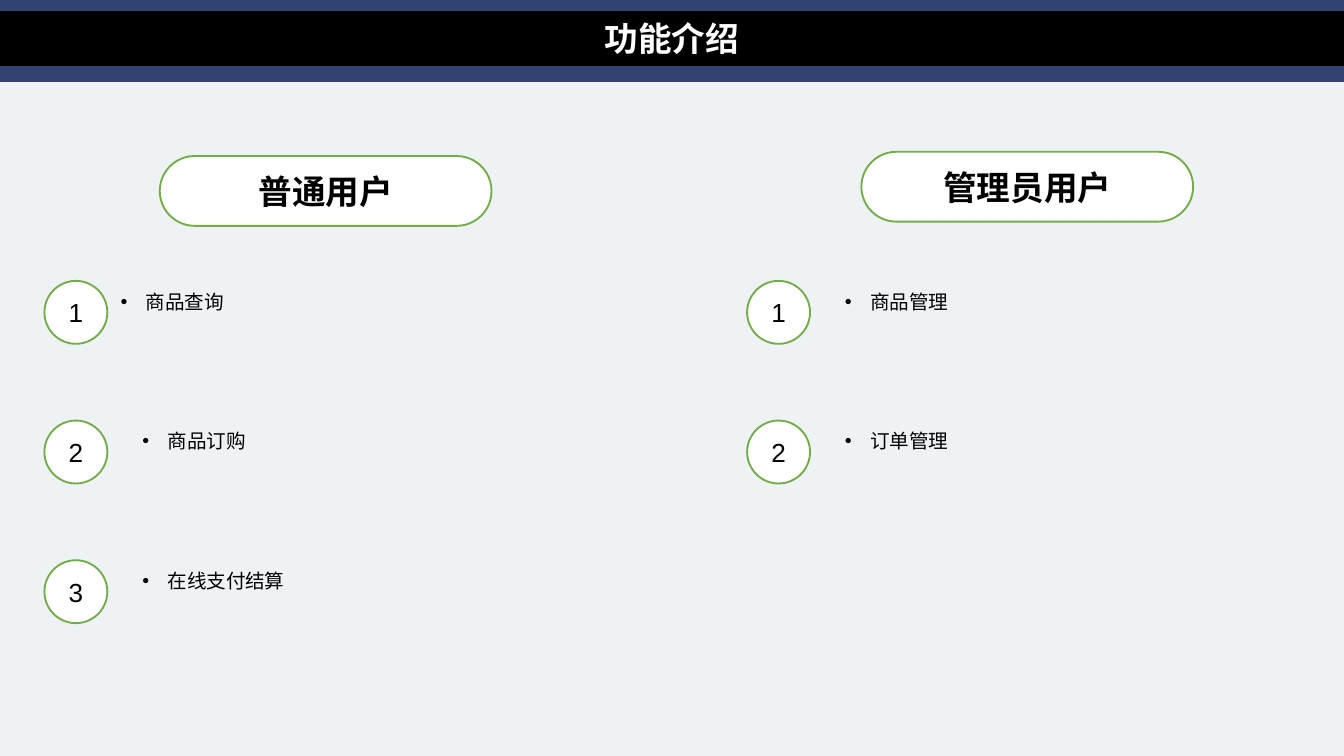
from lxml.etree import SubElement
from pptx import Presentation
from pptx.dml.color import RGBColor
from pptx.enum.shapes import MSO_SHAPE
from pptx.enum.text import MSO_ANCHOR, MSO_AUTO_SIZE, PP_ALIGN
from pptx.oxml.ns import qn
from pptx.util import Cm, Pt

COLORS = {
    "background": "EEF2F5",
    "band": "304371",
    "black": "000000",
    "white": "FFFFFF",
    "green": "70AD47",
}
HEADING_FONT = "Noto Sans CJK SC"
SLIDE_WIDTH, SLIDE_HEIGHT = 25.4, 14.29

FIRST_ROW, ROW_PITCH = 5.31, 2.64
BADGE_SIZE = 1.19
LABEL_GAP = 1.6
LABEL_RISE = 0.18

# heading, heading left and top, badge left, features
USER_ROLES = [
    ("普通用户", 3.02, 2.95, 0.84, ["商品查询", "商品订购", "在线支付结算"]),
    ("管理员用户", 16.28, 2.87, 14.12, ["商品管理", "订单管理"]),
]


def color(name):
    return RGBColor.from_string(COLORS[name])


def add_panel(slide, preset, left, top, width, height, fill, line=None):
    panel = slide.shapes.add_shape(preset, Cm(left), Cm(top), Cm(width), Cm(height))
    panel.shadow.inherit = False
    panel.fill.solid()
    panel.fill.fore_color.rgb = color(fill)
    if line:
        panel.line.color.rgb = color(line)
        panel.line.width = Pt(1)
    else:
        panel.line.fill.background()
    return panel


def add_run(paragraph, text, size, font, ink="black", bold=False):
    run = paragraph.add_run()
    run.text = text
    run.font.size = Pt(size)
    run.font.name = font
    run.font.bold = bold
    run.font.color.rgb = color(ink)
    if font == HEADING_FONT:
        east_asian = SubElement(run.font._element, qn("a:ea"))
        east_asian.set("typeface", font)


def add_centered_text(panel, text, size, font, ink="black", bold=False):
    panel.text_frame.vertical_anchor = MSO_ANCHOR.MIDDLE
    paragraph = panel.text_frame.paragraphs[0]
    paragraph.alignment = PP_ALIGN.CENTER
    add_run(paragraph, text, size, font, ink, bold)


def add_title(slide, text):
    add_panel(slide, MSO_SHAPE.RECTANGLE, 0, 0, SLIDE_WIDTH, 1.55, "band")
    title = add_panel(slide, MSO_SHAPE.RECTANGLE, 0, 0.22, SLIDE_WIDTH, 1.02,
                      "black", "black")
    add_centered_text(title, text, 18, HEADING_FONT, "white", True)
    title.text_frame.vertical_anchor = MSO_ANCHOR.TOP
    title.text_frame.auto_size = MSO_AUTO_SIZE.SHAPE_TO_FIT_TEXT


def add_heading(slide, text, left, top):
    heading = add_panel(slide, MSO_SHAPE.ROUNDED_RECTANGLE, left, top, 6.27, 1.32,
                        "white", "green")
    heading.adjustments[0] = 0.5
    add_centered_text(heading, text, 18, HEADING_FONT, bold=True)


def add_badge(slide, number, left, top):
    badge = add_panel(slide, MSO_SHAPE.OVAL, left, top, BADGE_SIZE, BADGE_SIZE,
                      "white", "green")
    add_centered_text(badge, str(number), 14, "Arial")


def add_feature(slide, text, left, top):
    feature = slide.shapes.add_textbox(Cm(left), Cm(top), Cm(8.84), Cm(0.91))
    frame = feature.text_frame
    frame.word_wrap = True
    frame.auto_size = MSO_AUTO_SIZE.SHAPE_TO_FIT_TEXT
    paragraph = frame.paragraphs[0]
    paragraph.line_spacing = 1.5
    properties = paragraph._p.get_or_add_pPr()
    properties.set("marL", str(Cm(0.48)))
    properties.set("indent", str(-Cm(0.48)))
    SubElement(properties, qn("a:buFont")).set("typeface", "Arial")
    SubElement(properties, qn("a:buChar")).set("char", "•")
    add_run(paragraph, text, 10.5, "Calibri")


def add_role(slide, heading, heading_left, heading_top, badge_left, features):
    add_heading(slide, heading, heading_left, heading_top)
    for row, text in enumerate(features):
        top = FIRST_ROW + row * ROW_PITCH
        add_badge(slide, row + 1, badge_left, top)
        # The first product feature sits right against its badge.
        gap = BADGE_SIZE if text == "商品查询" else LABEL_GAP
        add_feature(slide, text, badge_left + gap, top - LABEL_RISE)


def main():
    presentation = Presentation()
    presentation.slide_width = Cm(SLIDE_WIDTH)
    presentation.slide_height = Cm(SLIDE_HEIGHT)
    slide = presentation.slides.add_slide(presentation.slide_layouts[6])
    slide.background.fill.solid()
    slide.background.fill.fore_color.rgb = color("background")

    add_title(slide, "功能介绍")
    for role in USER_ROLES:
        add_role(slide, *role)
    presentation.save("out.pptx")


if __name__ == "__main__":
    main()
